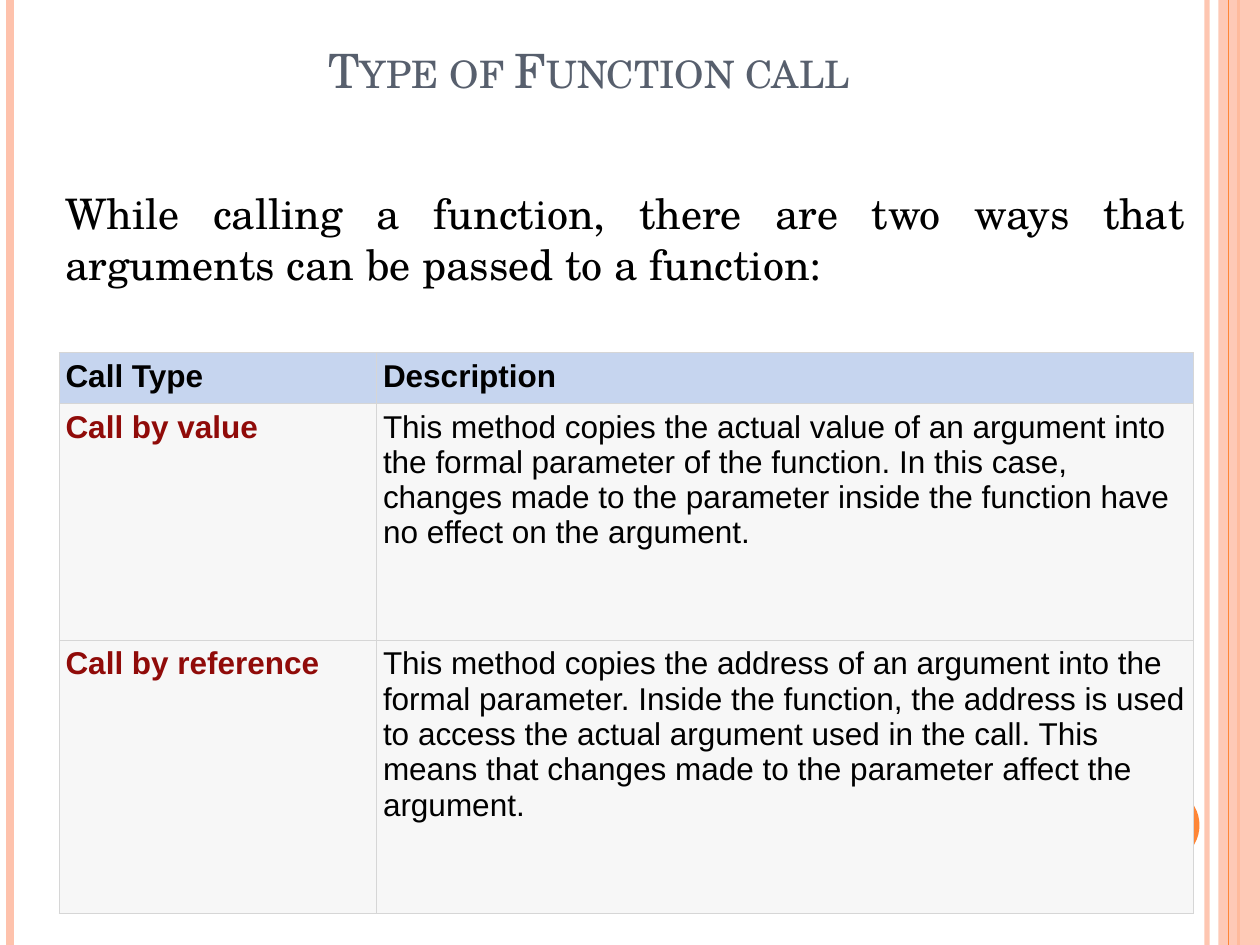
import pptx
import pptx.util
import pptx.dml.color
import pptx.enum.shapes
import pptx.enum.text
import pptx.oxml
import pptx.oxml.ns
from lxml import etree

Inches = pptx.util.Inches
Pt = pptx.util.Pt
Shape = pptx.enum.shapes.MSO_SHAPE
Align = pptx.enum.text.PP_ALIGN
Anchor = pptx.enum.text.MSO_ANCHOR
qn = pptx.oxml.ns.qn

COLORS = {
    "peach": "FEC2AC", "orange": "FE8637", "slate": "575F6D",
    "black": "000000", "red": "900B09", "head": "C6D5EF",
    "body": "F7F7F7", "edge": "D6D6D6",
}
SERIF = "TeX Gyre Schola"
SANS = "Arial"
ROWS = [
    ("Call Type", "Description"),
    ("Call by value",
     "This method copies the actual value of an argument into the formal "
     "parameter of the function. In this case, changes made to the parameter "
     "inside the function have no effect on the argument."),
    ("Call by reference",
     "This method copies the address of an argument into the formal parameter. "
     "Inside the function, the address is used to access the actual argument "
     "used in the call. This means that changes made to the parameter affect "
     "the argument."),
]


def rgb(name):
    return pptx.dml.color.RGBColor.from_string(COLORS[name])


def fade(item, percent):
    for color in item._element.spPr.iter(qn("a:srgbClr")):
        etree.SubElement(color, qn("a:alpha")).set("val", str(percent * 1000))


def add_rule(slide, x, color, width, alpha=100):
    rule = slide.shapes.add_connector(
        pptx.enum.shapes.MSO_CONNECTOR.STRAIGHT,
        Inches(x), Inches(0), Inches(x), Inches(7.5))
    rule.line.color.rgb = rgb(color)
    rule.line.width = Pt(width)
    etree.SubElement(rule._element.spPr, qn("a:effectLst"))
    if alpha < 100:
        fade(rule, alpha)


def add_block(slide, kind, box, color, alpha=100):
    block = slide.shapes.add_shape(kind, *map(Inches, box))
    block.shadow.inherit = False
    block.fill.solid()
    block.fill.fore_color.rgb = rgb(color)
    block.line.fill.background()
    if alpha < 100:
        fade(block, alpha)


def add_run(frame, text, size, face, color, bold=False, align=None):
    para = frame.paragraphs[0]
    para.alignment = align
    run = para.add_run()
    run.text = text
    run.font.size = Pt(size)
    run.font.name = face
    run.font.bold = bold
    run.font.color.rgb = rgb(color)
    return run


def set_title(slide, text):
    title = slide.shapes.title
    title.left, title.top = Inches(0.59), Inches(0.3)
    title.width, title.height = Inches(8.17), Inches(0.53)
    frame = title.text_frame
    frame.auto_size = pptx.enum.text.MSO_AUTO_SIZE.NONE
    frame.vertical_anchor = Anchor.BOTTOM
    run = add_run(frame, text, 27, SERIF, "slate", align=Align.CENTER)
    run._r.get_or_add_rPr().set("cap", "small")


def add_intro(slide, text):
    box = slide.shapes.add_textbox(
        Inches(0.42), Inches(1.44), Inches(9.08), Inches(0.91))
    frame = box.text_frame
    frame.word_wrap = True
    frame.auto_size = pptx.enum.text.MSO_AUTO_SIZE.SHAPE_TO_FIT_TEXT
    add_run(frame, text, 24, SERIF, "black", align=Align.JUSTIFY)


def set_edges(cell):
    props = cell._tc.get_or_add_tcPr()
    for spot, side in enumerate(("lnL", "lnR", "lnT", "lnB")):
        edge = etree.Element(qn("a:" + side), w=str(Pt(0.75)))
        fill = etree.SubElement(edge, qn("a:solidFill"))
        etree.SubElement(fill, qn("a:srgbClr")).set("val", COLORS["edge"])
        props.insert(spot, edge)


def fill_cell(cell, text, color, bold, back):
    cell.margin_left = cell.margin_right = Inches(0.05)
    cell.margin_top = cell.margin_bottom = Inches(0.05)
    cell.vertical_anchor = Anchor.TOP
    cell.fill.solid()
    cell.fill.fore_color.rgb = rgb(back)
    set_edges(cell)
    add_run(cell.text_frame, text, 18, SANS, color, bold, Align.LEFT)


def add_grid(slide):
    grid = slide.shapes.add_table(
        len(ROWS), 2, Inches(0.47), Inches(2.8), Inches(9), Inches(4.45)).table
    for col, width in zip(grid.columns, (2.52, 6.48)):
        col.width = Inches(width)
    for row, height in zip(grid.rows, (0.4, 1.88, 2.17)):
        row.height = Inches(height)
    for r, texts in enumerate(ROWS):
        for c, text in enumerate(texts):
            head, label = r == 0, c == 0
            fill_cell(grid.cell(r, c), text,
                      "red" if label and not head else "black",
                      head or label, "head" if head else "body")


def add_frame(slide):
    add_rule(slide, 9.58, "peach", 3, 93)
    add_rule(slide, 0.08, "peach", 4.5)
    add_rule(slide, 9.83, "orange", 1.5)
    add_block(slide, Shape.RECTANGLE, (9.67, 0, 0.33, 7.5), "peach", 87)
    add_rule(slide, 9.75, "orange", 0.75)
    add_block(slide, Shape.OVAL, (8.92, 6.25, 0.6, 0.6), "orange")


def main():
    deck = pptx.Presentation()
    deck.slide_width, deck.slide_height = Inches(10), Inches(7.5)
    slide = deck.slides.add_slide(deck.slide_layouts[5])
    add_frame(slide)
    set_title(slide, "Type of Function call")
    add_grid(slide)
    add_intro(slide, "While calling a function, there are two ways that "
                     "arguments can be passed to a function:")
    deck.save("out.pptx")


if __name__ == "__main__":
    main()
